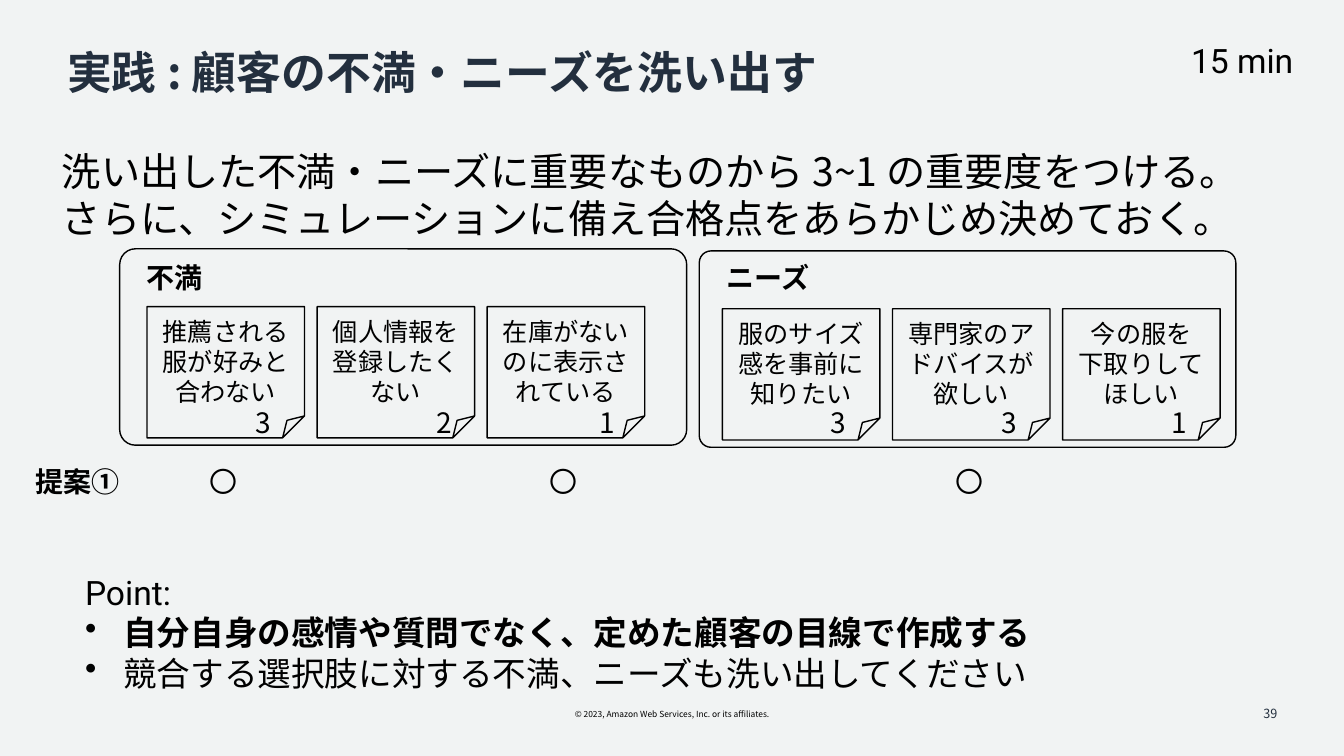
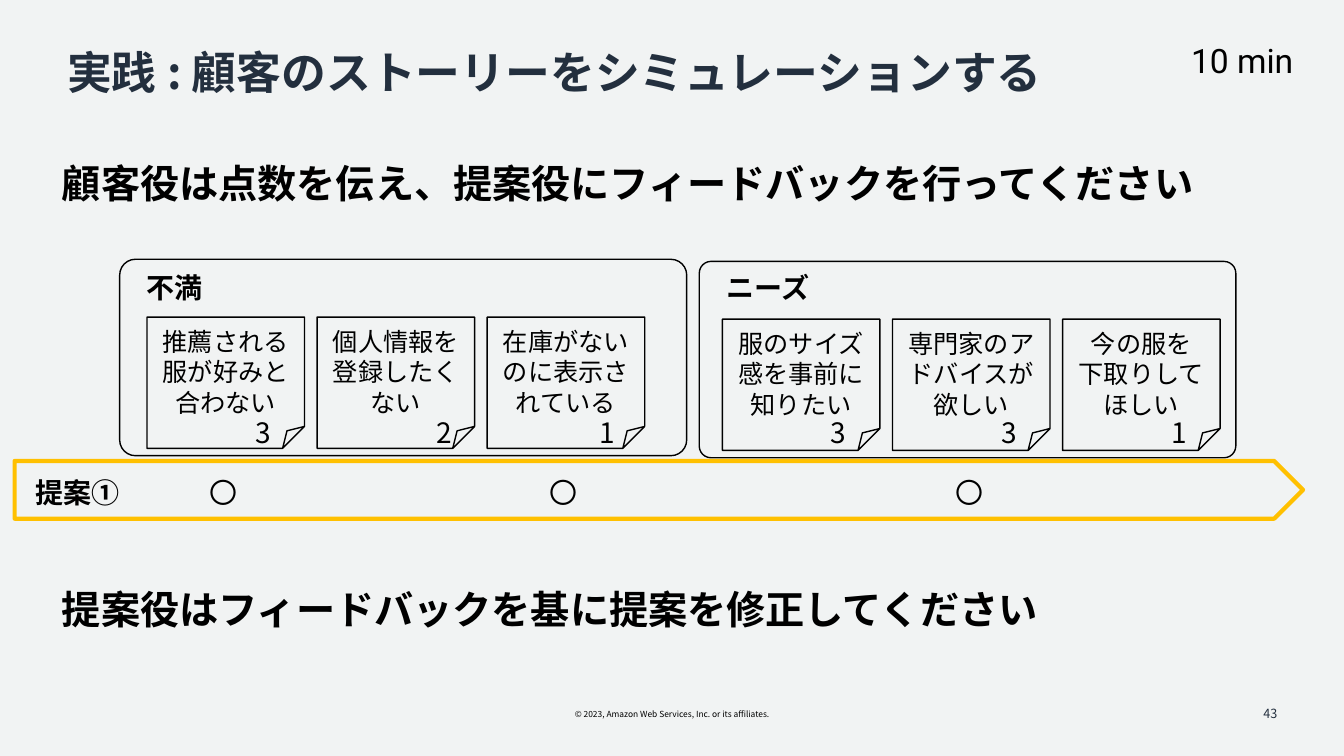
"""Build two workshop slides on scoring customer complaints and needs."""
import lxml.etree
import pptx
import pptx.dml.color
import pptx.enum.shapes
import pptx.enum.text
import pptx.oxml.ns
import pptx.util

COLORS = {"back": "F1F3F3", "title": "232F3E", "ink": "000000", "accent": "FFC000"}
JP, LATIN = "Noto Sans CJK JP", "Roboto"
PP = pptx.enum.text.PP_ALIGN
MSO = pptx.enum.shapes.MSO_SHAPE
qn = pptx.oxml.ns.qn
rgb = pptx.dml.color.RGBColor.from_string

prs = pptx.Presentation()
prs.slide_width = pptx.util.Inches(13.333)
prs.slide_height = pptx.util.Inches(7.5)
COL, ROW = prs.slide_width / 128, prs.slide_height / 72


def write(s, x, y, w, h, text, size, bold=False, align=PP.LEFT, font=JP, color="ink", shape=None):
    """Put text in a new text box, or in the given shape."""
    sp = shape or s.shapes.add_textbox(round(x * COL), round(y * ROW), round(w * COL), round(h * ROW))
    tf = sp.text_frame
    tf.text = text
    tf.word_wrap = True
    tf.margin_left = tf.margin_right = pptx.util.Inches(0.05 if shape else 0)
    if not shape:
        tf.auto_size = pptx.enum.text.MSO_AUTO_SIZE.SHAPE_TO_FIT_TEXT
    for p in tf.paragraphs:
        p.alignment = align
        for r in p.runs:
            r.font.size = pptx.util.Pt(size)
            r.font.bold = bold
            r.font.color.rgb = rgb(COLORS[color])
            r.font.name = font
            lxml.etree.SubElement(r.font._element, qn("a:ea"), typeface=font)
    return tf


def outline(s, kind, x, y, w, h, color="ink", width=1, adj=None):
    """Add an unfilled preset shape."""
    sp = s.shapes.add_shape(kind, round(x * COL), round(y * ROW), round(w * COL), round(h * ROW))
    sp.shadow.inherit = False
    sp.fill.background()
    sp.line.color.rgb = rgb(COLORS[color])
    sp.line.width = pptx.util.Pt(width)
    if adj:
        sp.adjustments[0] = adj
    return sp


NOTE_W, NOTE_H, NOTE_STEP = 15, 12.5, 16.2
PANELS = [
    {"name": "不満", "x": 11.4, "dy": 0, "w": 54, "adj": 0.08, "name_x": 14, "note_x": 14,
     "notes": [("推薦される服が好みと合わない", "3", 7.3, True),
               ("個人情報を登録したくない", "2", 8.4, False),
               ("在庫がないのに表示されている", "1", 7.7, True)]},
    {"name": "ニーズ", "x": 66.6, "dy": 0.2, "w": 51.1, "adj": 0.06, "name_x": 69.2, "note_x": 68.8,
     "notes": [("服のサイズ感を事前に知りたい", "3", 7.3, False),
               ("専門家のアドバイスが欲しい", "3", 7.4, True),
               ("今の服を\n下取りしてほしい", "1", 7.4, False)]},
]
SLIDES = [
    {"title": "実践 : 顧客の不満・ニーズを洗い出す", "time": "15 min", "page": "39", "top": 23.7,
     "lead": "洗い出した不満・ニーズに重要なものから 3~1 の重要度をつける。\n"
             "さらに、シミュレーションに備え合格点をあらかじめ決めておく。",
     "lead_y": 13.6, "lead_h": 10, "lead_bold": False},
    {"title": "実践 : 顧客のストーリーをシミュレーションする", "time": "10 min", "page": "43", "top": 24.7,
     "lead": "顧客役は点数を伝え、提案役にフィードバックを行ってください",
     "lead_y": 14.7, "lead_h": 5.5, "lead_bold": True},
]

built = []
for d in SLIDES:
    s = prs.slides.add_slide(prs.slide_layouts[6])
    built.append(s)
    s.background.fill.solid()
    s.background.fill.fore_color.rgb = rgb(COLORS["back"])
    tf = write(s, 52.75, 67.1, 22.5, 1.9, "© 2023, Amazon Web Services, Inc. or its affiliates.", 6, align=PP.CENTER)
    tf.word_wrap = False
    tf = write(s, 6.4, 4.4, 115, 5.8, d["title"], 32, True, color="title")
    tf.paragraphs[0].line_spacing = 0.9
    tf = write(s, 93.8, 66, 28.8, 3.8, d["page"], 9, align=PP.RIGHT, color="title")
    tf.auto_size = pptx.enum.text.MSO_AUTO_SIZE.NONE
    tf.vertical_anchor = pptx.enum.text.MSO_ANCHOR.MIDDLE
    tf.margin_right = pptx.util.Inches(0.1)
    write(s, 5.9, d["lead_y"], 118.3, d["lead_h"], d["lead"], 28, d["lead_bold"])
    write(s, 108.6, 3.3, 19.4, 4.8, d["time"], 24, align=PP.CENTER, font=LATIN)

    top = d["top"]
    write(s, 1.4, top + 20.1, 10, 4.2, "提案①", 20, True, PP.RIGHT)
    for panel in PANELS:
        y = top + panel["dy"]
        outline(s, MSO.ROUNDED_RECTANGLE, panel["x"], y, panel["w"], 18.7, adj=panel["adj"])
        write(s, panel["name_x"], top + 0.6, 10, 4.2, panel["name"], 20, True)
        for i, (text, score, score_dx, met) in enumerate(panel["notes"]):
            x = panel["note_x"] + i * NOTE_STEP
            sp = outline(s, MSO.FOLDED_CORNER, x, y + 5.5, NOTE_W, NOTE_H)
            write(s, x, y, NOTE_W, NOTE_H, text, 18, align=PP.CENTER, shape=sp)
            write(s, x + score_dx, top + 14.4, 7.5, 4.2, score, 20, align=PP.CENTER)
            if met:
                write(s, x + 2.3, top + 20.1, 10, 4.2, "〇", 20, align=PP.CENTER)

tf = write(built[0], 8.1, 54, 118.4, 12.6,
           "Point:\n自分自身の感情や質問でなく、定めた顧客の目線で作成する\n"
           "競合する選択肢に対する不満、ニーズも洗い出してください", 24)
tf.paragraphs[0].runs[0].font.name = LATIN
tf.paragraphs[1].runs[0].font.bold = True
indent = pptx.util.Inches(0.38)
for p in tf.paragraphs[1:]:
    pPr = p._p.get_or_add_pPr()
    pPr.set("marL", str(indent))
    pPr.set("indent", str(-indent))
    lxml.etree.SubElement(pPr, qn("a:buChar"), char="•")

outline(built[1], MSO.PENTAGON, 1.4, SLIDES[1]["top"] + 19.2, 122.7, 5.5, "accent", 3)
write(built[1], 5.9, 55.3, 118.3, 5.5, "提案役はフィードバックを基に提案を修正してください", 28, True)

prs.save("out.pptx")
